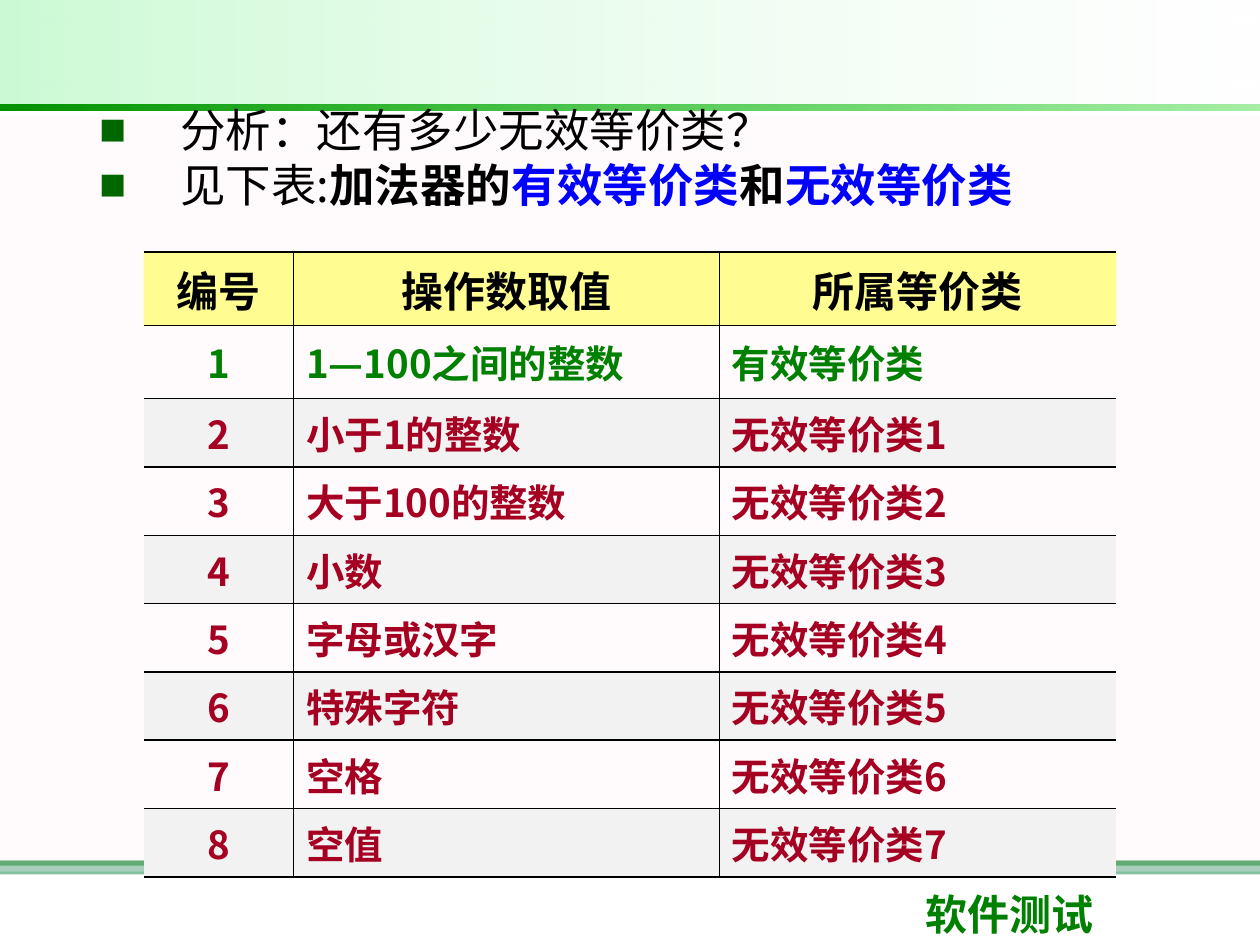
from lxml import etree
from pptx import Presentation
from pptx.dml.color import RGBColor
from pptx.enum.shapes import MSO_SHAPE
from pptx.enum.text import MSO_ANCHOR, MSO_AUTO_SIZE, PP_ALIGN
from pptx.oxml.ns import qn
from pptx.util import Pt

RECTANGLE = MSO_SHAPE.RECTANGLE
TOP, MIDDLE = MSO_ANCHOR.TOP, MSO_ANCHOR.MIDDLE
LEFT, CENTER = PP_ALIGN.LEFT, PP_ALIGN.CENTER
NO_AUTOSIZE = MSO_AUTO_SIZE.NONE

COLORS = {
    "white": "FFFFFF", "black": "000000", "green": "008000", "sea": "339966",
    "blush": "FFF0F5", "mint": "09E733", "bright": "00CC00", "leaf": "009200",
    "bullet": "006600", "blue": "0000FF", "yellow": "FFFF00", "red": "A50021",
    "stripe": "F2F2F2",
}
CJK_FONT, HEAVY_FONT, FOOTER_FONT = "Noto Sans CJK SC", "Cambria", "Lato"
PAGE_WIDTH, PAGE_HEIGHT = 720, 540
COLUMN_WIDTHS = [85.7, 243.3, 226.8]
ROW_HEIGHTS = [41.8, 41.8] + [39] * 7
HEADINGS = ["编号", "操作数取值", "所属等价类"]
OPERANDS = ["1—100之间的整数", "小于1的整数", "大于100的整数", "小数",
            "字母或汉字", "特殊字符", "空格", "空值"]
BULLETS = [
    [("分析：还有多少无效等价类？", "black", False)],
    [("见下表:", "black", False), ("加法器的", "black", True),
     ("有效等价类", "blue", True), ("和", "black", True),
     ("无效等价类", "blue", True)],
]


def rgb(name):
    return RGBColor.from_string(COLORS[name])


def add_element(parent, tag, **attributes):
    return etree.SubElement(parent, qn(tag), attributes)


def set_alpha(container, percents):
    for color, percent in zip(container.iter(qn("a:srgbClr")), percents):
        add_element(color, "a:alpha", val=str(percent * 1000))


def format_span(span, size, color, bold=True, font=CJK_FONT):
    span.font.size = Pt(size)
    span.font.bold = bold
    span.font.color.rgb = rgb(color)
    span.font.name = font
    add_element(span.font._element, "a:ea", typeface=CJK_FONT)


def add_band(page, top, height, stops):
    band = page.shapes.add_shape(RECTANGLE, 0, Pt(top), Pt(PAGE_WIDTH), Pt(height))
    band.shadow.inherit = False
    band.line.fill.background()
    if len(stops) == 1:
        band.fill.solid()
        band.fill.fore_color.rgb = rgb(stops[0][0])
    else:
        band.fill.gradient()
        band.fill.gradient_angle = 0
        for stop, (color, _) in zip(band.fill.gradient_stops, stops):
            stop.color.rgb = rgb(color)
    set_alpha(band._element.spPr, [percent for _, percent in stops])


def add_background(page):
    add_band(page, 491.8, 2.9, [("green", 100)])
    add_band(page, 491.8, 7.9, [("sea", 60)])
    add_band(page, 66.2, 432, [("blush", 30)])
    add_band(page, 0, 59.8, [("mint", 21), ("white", 10)])
    add_band(page, 59.8, 3.6, [("leaf", 100), ("bright", 35)])


def add_footer(page):
    box = page.shapes.add_textbox(Pt(522), Pt(504), Pt(170.6), Pt(36))
    box.text_frame.word_wrap = True
    box.text_frame.text = "软件测试"
    format_span(box.text_frame.paragraphs[0].runs[0], 24, "green", font=FOOTER_FONT)


def set_bullet(para):
    properties = para._p.get_or_add_pPr()
    properties.set("marL", str(Pt(46)))
    properties.set("indent", str(Pt(-46)))
    color = add_element(properties, "a:buClr")
    add_element(color, "a:srgbClr", val=COLORS["bullet"])
    add_element(properties, "a:buSzPct", val="60000")
    add_element(properties, "a:buFont", typeface=CJK_FONT)
    add_element(properties, "a:buChar", char="■")


def fill_body(box):
    box.left, box.top, box.width, box.height = Pt(49.7), Pt(59.8), Pt(593.3), Pt(96.5)
    frame = box.text_frame
    frame.auto_size = NO_AUTOSIZE
    frame.vertical_anchor = TOP
    frame.text = "\n".join("".join(part[0] for part in parts) for parts in BULLETS)
    for para, parts in zip(frame.paragraphs, BULLETS):
        para.clear()
        para.alignment = LEFT
        para.line_spacing = 0.84
        para.space_before = Pt(5.2)
        set_bullet(para)
        for text, color, bold in parts:
            span = para.add_run()
            span.text = text
            format_span(span, 26, color, bold, HEAVY_FONT if bold else CJK_FONT)


def set_borders(cell, sides):
    properties = cell._tc.get_or_add_tcPr()
    for position, side in enumerate(["L", "R", "T", "B"]):
        line = etree.Element(qn("a:ln" + side), w=str(Pt(1)))
        if side in sides:
            fill = add_element(line, "a:solidFill")
            add_element(fill, "a:srgbClr", val=COLORS["black"])
        else:
            add_element(line, "a:noFill")
        properties.insert(position, line)


def format_cell(cell, text, size, color, alignment, fill, sides):
    cell.text = text
    cell.vertical_anchor = MIDDLE
    para = cell.text_frame.paragraphs[0]
    para.alignment = alignment
    format_span(para.runs[0], size, color)
    if fill:
        cell.fill.solid()
        cell.fill.fore_color.rgb = rgb(fill)
        if fill == "yellow":
            set_alpha(cell._tc.tcPr, [42])
    else:
        cell.fill.background()
    set_borders(cell, sides)


def add_class_table(page):
    classes = ["有效等价类"] + [f"无效等价类{n}" for n in range(1, len(OPERANDS))]
    rows = [HEADINGS] + [
        [str(n), operand, kind]
        for n, (operand, kind) in enumerate(zip(OPERANDS, classes), 1)
    ]
    table = page.shapes.add_table(
        len(rows), len(HEADINGS), Pt(82.1), Pt(144),
        Pt(sum(COLUMN_WIDTHS)), Pt(sum(ROW_HEIGHTS))).table
    for column, width in zip(table.columns, COLUMN_WIDTHS):
        column.width = Pt(width)
    for row, height in zip(table.rows, ROW_HEIGHTS):
        row.height = Pt(height)
    for r, texts in enumerate(rows):
        size = 22 if r else 24
        color = ["black", "green"][r] if r < 2 else "red"
        stripe = "stripe" if r % 2 == 0 else None
        fill = stripe if r else "yellow"
        for c, text in enumerate(texts):
            alignment = LEFT if r and c else CENTER
            sides = ["RTB", "LRTB", "LTB"][c]
            format_cell(table.cell(r, c), text, size, color, alignment, fill, sides)


def main():
    deck = Presentation()
    deck.slide_width, deck.slide_height = Pt(PAGE_WIDTH), Pt(PAGE_HEIGHT)
    page = deck.slides.add_slide(deck.slide_layouts[1])
    title, body = page.placeholders
    title._element.getparent().remove(title._element)
    add_background(page)
    add_footer(page)
    page.shapes._spTree.append(body._element)
    fill_body(body)
    add_class_table(page)
    deck.save("out.pptx")


if __name__ == "__main__":
    main()
